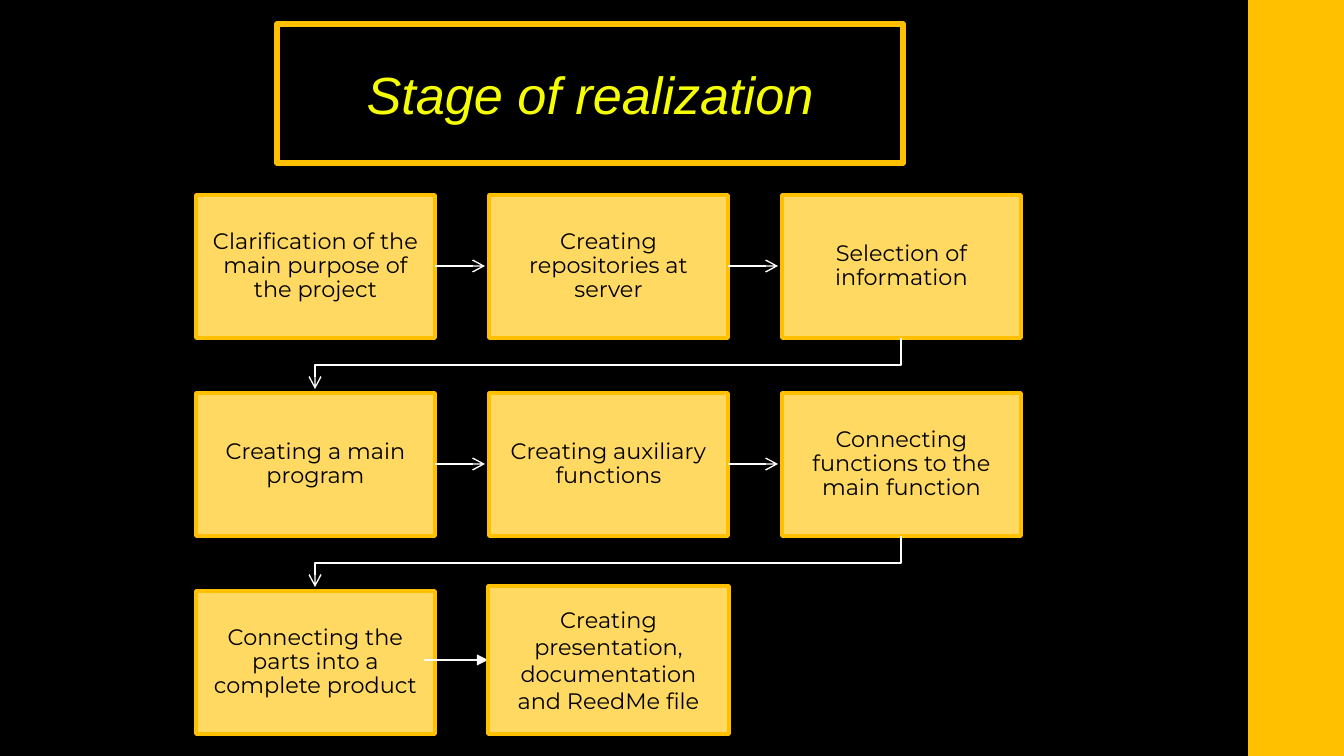
from dataclasses import dataclass

from lxml.etree import SubElement
from pptx import Presentation
from pptx.dml.color import RGBColor
from pptx.enum.shapes import MSO_CONNECTOR as Conn, MSO_SHAPE as Kind
from pptx.enum.text import MSO_ANCHOR as Anchor, PP_ALIGN as Align
from pptx.oxml.ns import qn
from pptx.util import Emu, Pt

SCALE = 914400 / 134.4

BLACK = RGBColor(0x00, 0x00, 0x00)
AMBER = RGBColor(0xFF, 0xC0, 0x00)
SAND = RGBColor(0xFF, 0xD9, 0x61)
LEMON = RGBColor(0xF6, 0xFF, 0x00)
WHITE = RGBColor(0xFF, 0xFF, 0xFF)
PALE = RGBColor(0xF9, 0xF9, 0xF9)

COLS = 3
LEFT, TOP = 196, 195
WIDE, HIGH = 239, 143
STEP_X, STEP_Y = 293, 198
REACH = 50


@dataclass(frozen=True)
class Box:
    text: str
    left: int
    top: int
    width: int = WIDE
    height: int = HIGH
    inset: int = 12
    lead: float = 0.9

    @property
    def right(self) -> int:
        return self.left + self.width

    @property
    def base(self) -> int:
        return self.top + self.height

    @property
    def mid_x(self) -> int:
        return self.left + self.width // 2

    @property
    def mid_y(self) -> int:
        return self.top + self.height // 2


def px(size: int) -> Emu:
    return Emu(round(size * SCALE))


def paint(shape, fill: RGBColor, weight: float) -> None:
    shape.fill.solid()
    shape.fill.fore_color.rgb = fill
    shape.line.color.rgb = AMBER
    shape.line.width = Pt(weight)


def write(shape, text: str, face: str, size: int, ink: RGBColor,
          lead: float = 1.0, slant: bool = False) -> None:
    frame = shape.text_frame
    frame.word_wrap = True
    frame.vertical_anchor = Anchor.MIDDLE
    para = frame.paragraphs[0]
    para.alignment = Align.CENTER
    para.line_spacing = lead
    run = para.add_run()
    run.text = text
    font = run.font
    font.name, font.size, font.italic = face, Pt(size), slant
    font.color.rgb = ink


def add_rect(shapes, left: int, top: int, width: int, height: int, fill: RGBColor):
    rect = shapes.add_shape(Kind.RECTANGLE, px(left), px(top), px(width), px(height))
    rect.shadow.inherit = False
    paint(rect, fill, 2)
    return rect


def add_box(shapes, box: Box) -> None:
    rect = add_rect(shapes, box.left, box.top, box.width, box.height, SAND)
    frame = rect.text_frame
    frame.margin_left = frame.margin_right = px(box.inset)
    frame.margin_top = frame.margin_bottom = px(box.inset)
    write(rect, box.text, "Montserrat", 12, BLACK, box.lead)


def add_head(shape, ink: RGBColor, head: str) -> None:
    shape.line.color.rgb = ink
    shape.line.width = Pt(0.75)
    SubElement(shape.line._get_or_add_ln(), qn("a:tailEnd"), type=head)


def add_arrow(shapes, start: int, end: int, y: int,
              ink: RGBColor = WHITE, head: str = "arrow") -> None:
    line = shapes.add_connector(Conn.STRAIGHT, px(start), px(y), px(end), px(y))
    add_head(line, ink, head)
    SubElement(line._element.spPr, qn("a:effectLst"))


def add_turn(shapes, box: Box, goal: Box) -> None:
    """Lead from the end of one row to the start of the next."""
    bend = (box.base + goal.top) // 2
    path = shapes.build_freeform(box.mid_x, box.base, scale=SCALE)
    path.add_line_segments(
        [(box.mid_x, bend), (goal.mid_x, bend), (goal.mid_x, goal.top - 4)], close=False)
    turn = path.convert_to_shape()
    turn.shadow.inherit = False
    turn.fill.background()
    add_head(turn, WHITE, "arrow")


STEPS = [
    "Clarification of the main purpose of the project",
    "Creating repositories at server",
    "Selection of information",
    "Creating a main program",
    "Creating auxiliary functions",
    "Connecting functions to the main function",
    "Connecting the parts into a complete product",
]
BOXES = [Box(text, LEFT + i % COLS * STEP_X, TOP + i // COLS * STEP_Y)
         for i, text in enumerate(STEPS)]
LAST = Box("Creating presentation, documentation and ReedMe file",
           488, 586, 241, 148, 13, 1.0)


def main() -> None:
    deck = Presentation()
    deck.slide_width, deck.slide_height = px(1344), px(756)
    slide = deck.slides.add_slide(deck.slide_layouts[5])
    slide.background.fill.solid()
    slide.background.fill.fore_color.rgb = BLACK
    shapes = slide.shapes

    title = shapes.title
    title.left, title.top, title.width, title.height = map(px, (277, 24, 626, 139))
    paint(title, BLACK, 3)
    write(title, "Stage of realization", "Arial", 28, LEMON, slant=True)

    add_rect(shapes, 1250, 0, 94, 756, AMBER)
    for box, goal in zip(BOXES, BOXES[1:]):
        add_box(shapes, box)
        if goal.top == box.top:
            add_arrow(shapes, box.right, box.right + REACH, box.mid_y)
        else:
            add_turn(shapes, box, goal)

    add_box(shapes, BOXES[-1])
    add_arrow(shapes, 424, LAST.left, LAST.mid_y, PALE, "triangle")
    add_box(shapes, LAST)
    deck.save("out.pptx")


if __name__ == "__main__":
    main()
